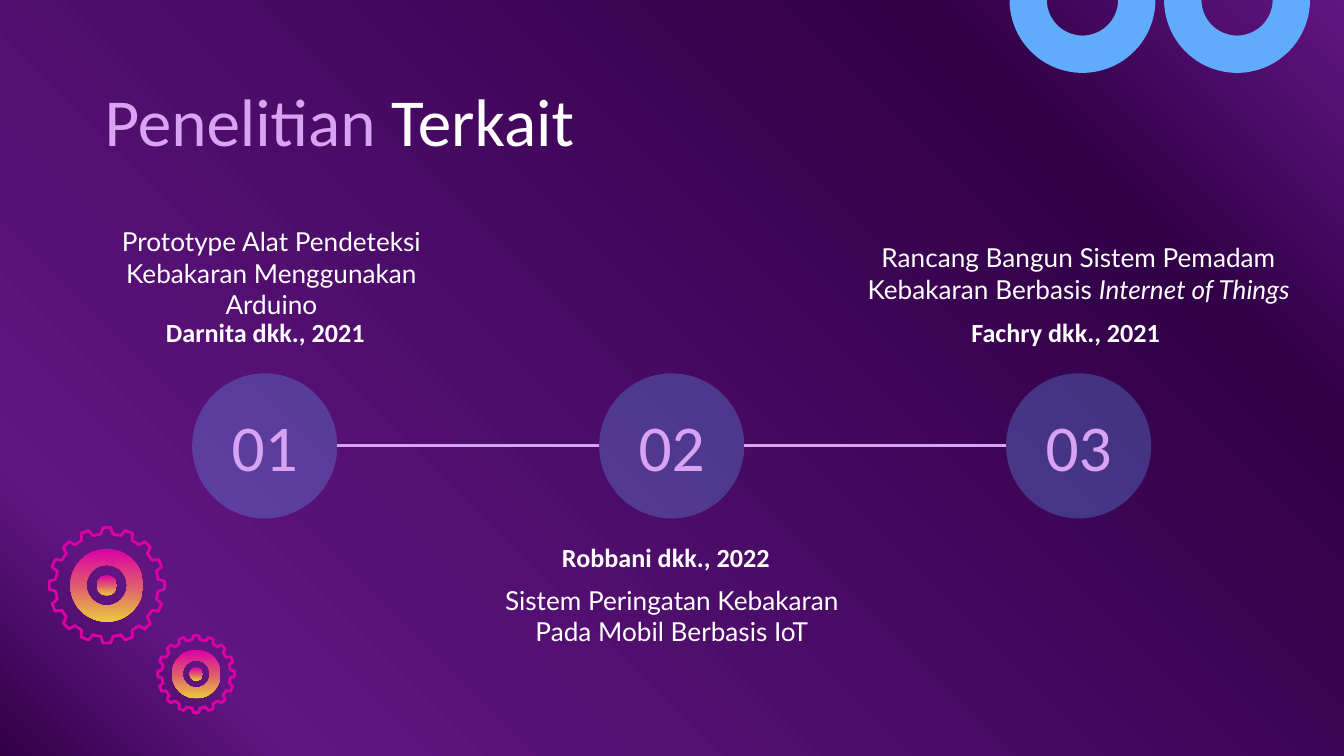
from math import cos, radians, sin

from lxml.etree import SubElement
from pptx import Presentation
from pptx.dml.color import RGBColor
from pptx.enum.shapes import MSO_CONNECTOR, MSO_SHAPE
from pptx.enum.text import MSO_ANCHOR as Anchor, PP_ALIGN as Align
from pptx.oxml.ns import qn
from pptx.util import Inches, Pt

LILAC = RGBColor(0xD9, 0xA3, 0xF3)
WHITE = RGBColor(0xFF, 0xFF, 0xFF)
BLUE = RGBColor(0x61, 0xAB, 0xFC)
NIGHT = RGBColor(0x31, 0x00, 0x47)
PURPLE = RGBColor(0x61, 0x15, 0x82)
PINK = RGBColor(0xDB, 0x00, 0xA6)
CORAL = RGBColor(0xDF, 0x59, 0x6E)
GOLD = RGBColor(0xEA, 0xC9, 0x3D)

BACKDROP = [(0, NIGHT), (14, PURPLE), (80, NIGHT), (100, PURPLE)]
SUNSET = [(0, PINK), (50, CORAL), (100, GOLD)]

# The grid has 100 columns across the slide; rows are as tall as columns are wide.
COLUMNS, ROWS = 100, 56.25
CELL = Inches(0.1)
TIMELINE_ROW = 33.18
CIRCLE_SIZE = 10.8
FIRST_COLUMN, COLUMN_STEP = 19.7, 30.28


def cells(count):
    return round(count * CELL)


def polar(column, row, radius, degrees):
    angle = radians(degrees)
    return column + radius * cos(angle), row + radius * sin(angle)


class SlideBuilder:
    """Draws on one slide, with every length given in grid cells."""

    def __init__(self, slide):
        self.slide = slide
        self.shapes = slide.shapes

    def gradient(self, owner, fill, stops, angle):
        """Fill with (percent, colour) stops; the angle runs counter-clockwise."""
        fill.gradient()
        fill.gradient_angle = angle
        stop_list = next(owner.element.iter(qn("a:gsLst")))
        for old_stop in list(stop_list):
            stop_list.remove(old_stop)
        for percent, colour in stops:
            stop = SubElement(stop_list, qn("a:gs"), pos=str(percent * 1000))
            SubElement(stop, qn("a:srgbClr"), val=str(colour))

    def background(self, stops, angle):
        self.gradient(self.slide, self.slide.background.fill, stops, angle)

    def round_shape(self, kind, column, row, size):
        """Add a circular preset shape centred on a grid point."""
        shape = self.shapes.add_shape(
            kind, cells(column - size / 2), cells(row - size / 2), cells(size), cells(size))
        shape.shadow.inherit = False
        shape.line.fill.background()
        return shape

    def glass_circle(self, column, row, size):
        circle = self.round_shape(MSO_SHAPE.OVAL, column, row, size)
        circle.fill.solid()
        circle.fill.fore_color.rgb = BLUE
        colour = next(circle.element.spPr.iter(qn("a:srgbClr")))
        SubElement(colour, qn("a:alpha"), val="29000")

    def outline(self, points):
        corners = [(cells(column), cells(row)) for column, row in points]
        builder = self.shapes.build_freeform(*corners[0])
        builder.add_line_segments(corners[1:], close=True)
        shape = builder.convert_to_shape()
        shape.shadow.inherit = False
        return shape

    def half_ring(self, column, outer, inner):
        """Add the lower half of a ring hanging from the top edge."""
        angles = range(0, 181, 4)
        points = [polar(column, 0, outer, angle) for angle in angles]
        points += [polar(column, 0, inner, angle) for angle in reversed(angles)]
        ring = self.outline(points)
        ring.fill.solid()
        ring.fill.fore_color.rgb = BLUE
        ring.line.fill.background()

    def gear(self, column, row, radius, teeth=16):
        ring = self.round_shape(MSO_SHAPE.DONUT, column, row, radius * 1.26)
        ring.adjustments[0] = 0.22
        self.gradient(ring, ring.fill, SUNSET, 270)

        step = 360 / teeth
        tooth = [(-6.7, 0.89), (-4, 1), (4, 1), (6.7, 0.89), (step / 2, 0.89)]
        rim = self.outline([
            polar(column, row, radius * share, index * step + offset)
            for index in range(teeth) for offset, share in tooth])
        rim.fill.background()
        rim.line.color.rgb = PINK
        rim.line.width = Pt(1.5)

        hub = self.round_shape(MSO_SHAPE.OVAL, column, row, radius * 0.35)
        self.gradient(hub, hub.fill, SUNSET, 270)

    def line(self, start, end, row):
        link = self.shapes.add_connector(
            MSO_CONNECTOR.STRAIGHT, cells(start), cells(row), cells(end), cells(row))
        link.line.color.rgb = LILAC
        link.line.width = Pt(1.5)
        SubElement(link.element.spPr, qn("a:effectLst"))

    def text(self, place, runs, size, font="Calibri", bold=False,
             align=Align.CENTER, anchor=Anchor.MIDDLE):
        """Add one paragraph; each run is (words, colour, italic)."""
        box = self.shapes.add_textbox(*map(cells, place))
        frame = box.text_frame
        frame.word_wrap = True
        frame.vertical_anchor = anchor
        frame.margin_left = frame.margin_right = cells(1)
        frame.margin_top = frame.margin_bottom = cells(1)
        para = frame.paragraphs[0]
        para.alignment = align
        for words, colour, italic in runs:
            span = para.add_run()
            span.text = words
            span.font.name = font
            span.font.size = Pt(size)
            span.font.bold = bold
            span.font.italic = italic
            span.font.color.rgb = colour


# Each study: author, author place, study title runs, title place.
STUDIES = [
    ("Darnita dkk., 2021", (7.5, 22.55, 24.5, 4.1),
     [("Prototype Alat Pendeteksi Kebakaran Menggunakan Arduino", WHITE, False)],
     (5.05, 18.35, 30.3, 3.9)),
    ("Robbani dkk., 2022", (37.3, 39.3, 24.5, 4.1),
     [("Sistem Peringatan Kebakaran Pada Mobil Berbasis IoT", WHITE, False)],
     (34.85, 43.85, 30.3, 3.9)),
    ("Fachry dkk., 2021", (67.05, 22.55, 24.5, 4.1),
     [("Rancang Bangun Sistem Pemadam Kebakaran Berbasis ", WHITE, False),
      ("Internet of Things", WHITE, True)],
     (62.85, 18.35, 34.8, 3.9)),
]


def main():
    deck = Presentation()
    deck.slide_width, deck.slide_height = cells(COLUMNS), cells(ROWS)
    page = SlideBuilder(deck.slides.add_slide(deck.slide_layouts[6]))

    page.background(BACKDROP, 45)
    for column in (92.05, 80.55):
        page.half_ring(column, 5.43, 2.65)
    page.text((6.8, 4.9, 86.4, 6.3),
              [("Penelitian", LILAC, False), (" Terkait", WHITE, False)],
              36, align=Align.LEFT, anchor=Anchor.TOP)

    centres = [FIRST_COLUMN + index * COLUMN_STEP for index in range(len(STUDIES))]
    for centre in centres:
        page.glass_circle(centre, TIMELINE_ROW, CIRCLE_SIZE)
    for left, right in zip(centres, centres[1:]):
        page.line(left + CIRCLE_SIZE / 2, right - CIRCLE_SIZE / 2, TIMELINE_ROW)

    for number, (centre, study) in enumerate(zip(centres, STUDIES), start=1):
        author, author_place, title, title_place = study
        page.text((centre - 5.7, 30.55, 11.4, 5.2), [(f"{number:02}", LILAC, False)], 35)
        page.text(title_place, title, 14, font="Lato")
        page.text(author_place, [(author, WHITE, False)], 14, bold=True, anchor=Anchor.TOP)

    page.gear(7.95, 43.55, 4.3)
    page.gear(14.6, 50.15, 2.87)
    deck.save("out.pptx")


if __name__ == "__main__":
    main()
